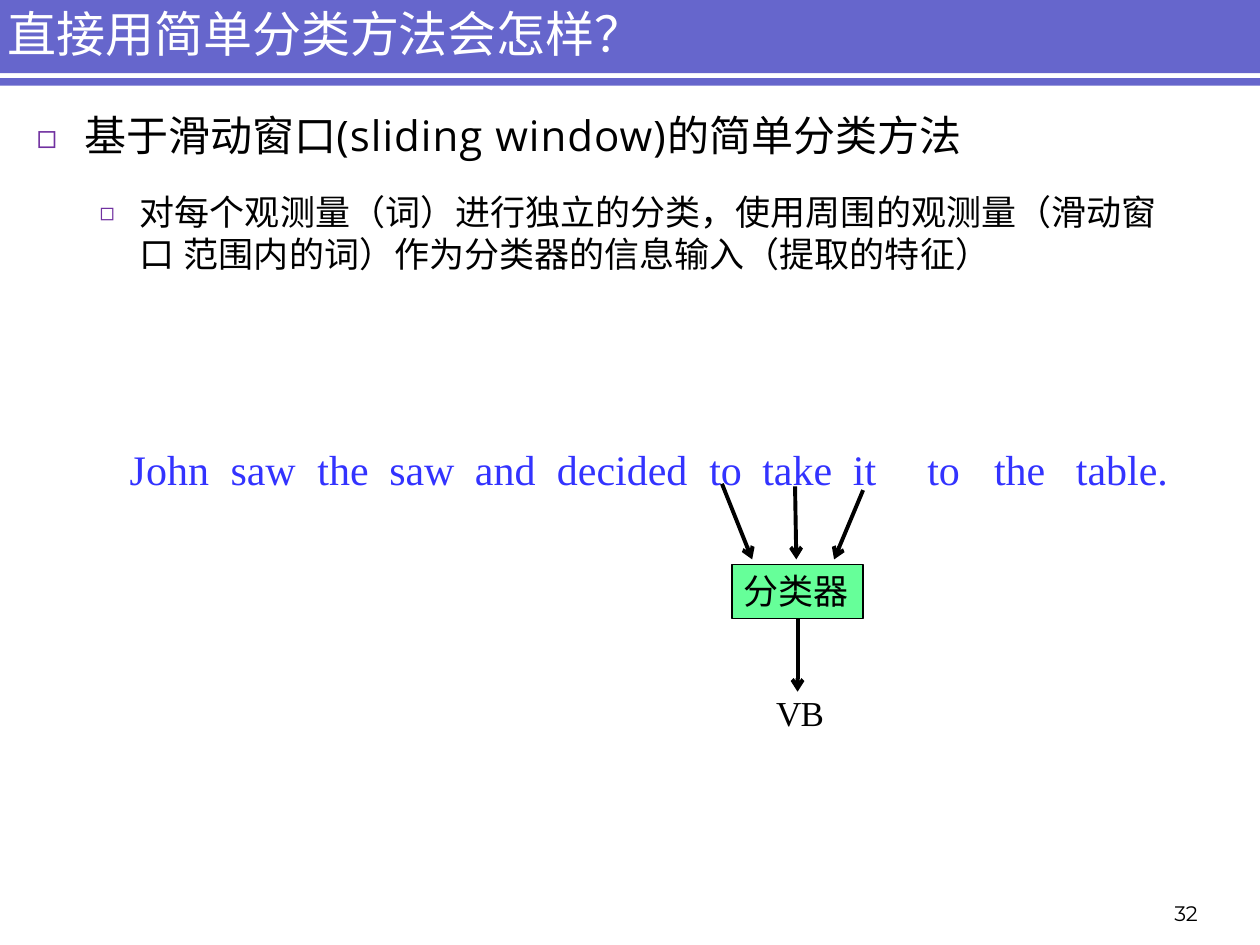
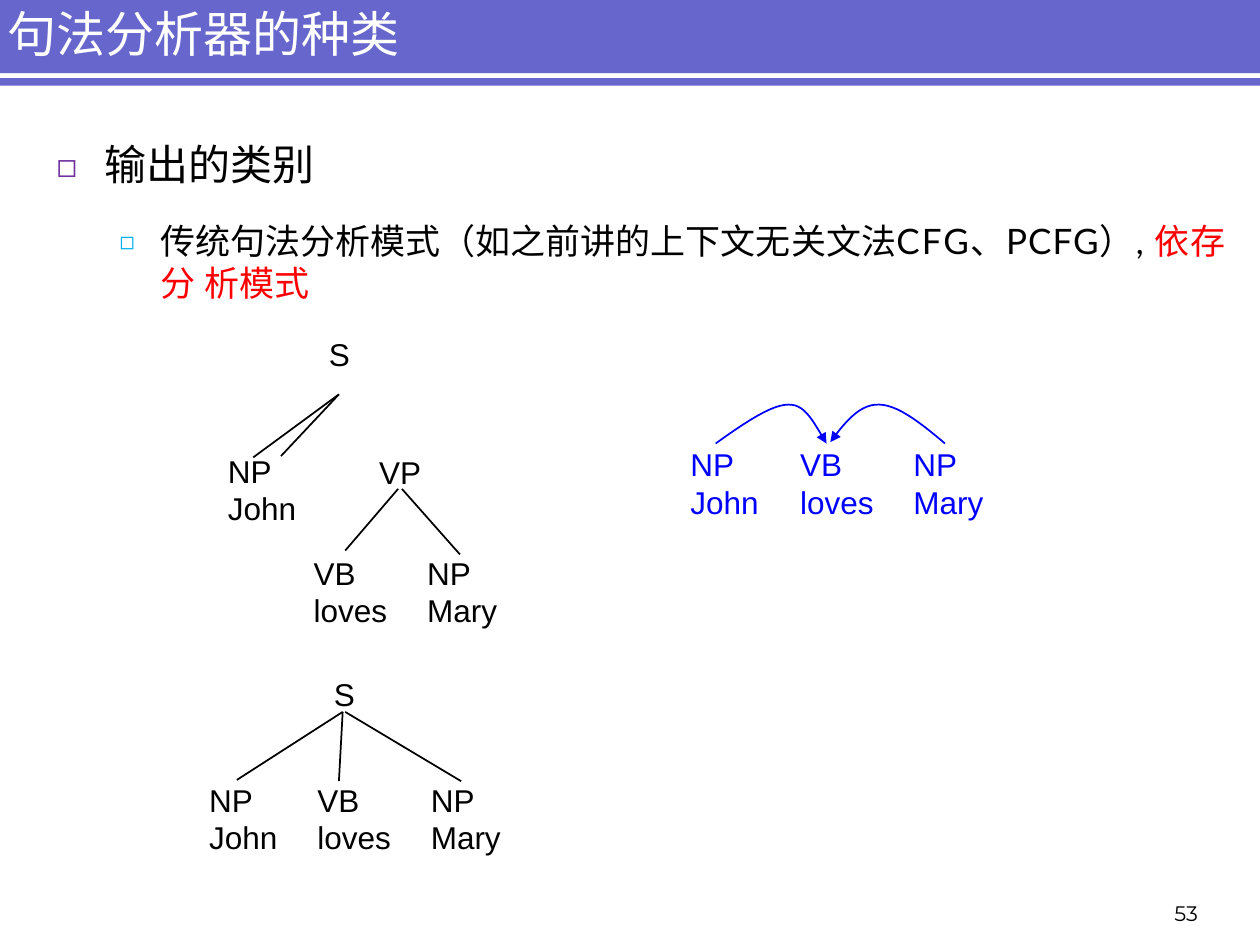
from lxml import etree
from pptx import Presentation
from pptx.dml.color import RGBColor
from pptx.enum.shapes import MSO_CONNECTOR, MSO_SHAPE
from pptx.enum.text import MSO_ANCHOR, MSO_AUTO_SIZE, PP_ALIGN
from pptx.oxml.ns import qn
from pptx.util import Emu, Inches, Pt

STRAIGHT = MSO_CONNECTOR.STRAIGHT
RECTANGLE = MSO_SHAPE.RECTANGLE
TOP = MSO_ANCHOR.TOP
NO_AUTOFIT = MSO_AUTO_SIZE.NONE
LEFT = PP_ALIGN.LEFT

PURPLE, VIOLET, CYAN = "6666CC", "7030A0", "00B0F0"
BLACK, WHITE, RED = "000000", "FFFFFF", "FF0000"
SENTENCE_BLUE, LINK_BLUE, GREEN = "3333FF", "0000FF", "66FF99"
CJK_FONT, LATIN_FONT = "Noto Sans CJK JP", "Lato"

TITLE = {"size": 28, "name": CJK_FONT, "color": WHITE}
HEADING = {"size": 24, "name": CJK_FONT, "color": BLACK}
DETAIL = {"size": 20, "name": CJK_FONT, "color": BLACK}
SENTENCE = {"size": 24, "name": "Times New Roman", "color": SENTENCE_BLUE}
TAG = {"size": 20, "name": "Times New Roman", "color": BLACK}
NODE = {"size": 18, "name": "Arial", "color": BLACK}
PAGE_NUMBER = {"size": 12, "name": "Montserrat", "color": BLACK}
NODE_SPACING = 21.3


def rgb(color):
    return RGBColor.from_string(color)


def set_values(target, **values):
    for name, value in values.items():
        setattr(target, name, value)


def add_xml(parent, tag, **attributes):
    return etree.SubElement(parent, qn(tag), attributes)


def place(shape, left, top, width, height):
    set_values(shape, left=Inches(left), top=Inches(top),
               width=Inches(width), height=Inches(height))


def prepare_frame(frame, left=0.0, top=0.01, wrap=True):
    set_values(frame, margin_left=Inches(left), margin_top=Inches(top),
               margin_right=0, margin_bottom=0, word_wrap=wrap,
               auto_size=NO_AUTOFIT, vertical_anchor=TOP)


def add_span(para, text, style, **changes):
    """Add a run in a style; spacing is in points."""
    style = {**style, **changes}
    span = para.add_run()
    span.text = text
    set_values(span.font, size=Pt(style["size"]), name=style["name"])
    span.font.color.rgb = rgb(style["color"])
    properties = span.font._element
    add_xml(properties, "a:ea", typeface=LATIN_FONT)
    if "spacing" in style:
        properties.set("spc", str(round(style["spacing"] * 100)))


def add_tabs(para, stops):
    tab_list = add_xml(para._p.get_or_add_pPr(), "a:tabLst")
    for stop in stops:
        add_xml(tab_list, "a:tab", pos=str(Inches(stop)), algn="l")


def add_text(page, left, top, width, lines, style, tabs=(), spacing=None, inset=0.01):
    """Write lines in a box; tabs are inches from the left edge of the text."""
    box = page.shapes.add_textbox(0, 0, 0, 0)
    place(box, left, top, width, 0.3 * len(lines) + 0.1)
    frame = box.text_frame
    prepare_frame(frame, top=inset, wrap=bool(tabs))
    for index, line in enumerate(lines):
        para = frame.add_paragraph() if index else frame.paragraphs[0]
        if spacing:
            para.line_spacing = Pt(spacing)
        if tabs:
            add_tabs(para, tabs)
        add_span(para, line, style)


def add_nodes(page, left, top, lines, tabs=(), color=BLACK):
    """Write tree labels, the columns being parted by tabs."""
    add_text(page, left, top, 2.4 if tabs else 0.6, lines,
             {**NODE, "color": color}, tabs, NODE_SPACING)


def add_bullet(para, level, color):
    indent, hanging, size = ((0.39, 0.38, 79), (0.83, 0.32, 70))[level]
    set_values(para, level=level, alignment=LEFT,
               line_spacing=Pt((28.8, 24)[level]),
               space_before=Pt((0, 17.2)[level]))
    properties = para._p.get_or_add_pPr()
    properties.set("marL", str(Inches(indent)))
    properties.set("indent", str(-Inches(hanging)))
    bullet_color = add_xml(properties, "a:buClr")
    add_xml(bullet_color, "a:srgbClr", val=color)
    add_xml(properties, "a:buSzPct", val=str(size * 1000))
    add_xml(properties, "a:buFont", typeface=CJK_FONT)
    add_xml(properties, "a:buChar", char="◻")


def add_body(page, left, top, width, bullets):
    """Fill the body with (level, bullet colour, spans), a span being (text, style, changes)."""
    body = page.placeholders[1]
    place(body, left, top, width, 1.4)
    frame = body.text_frame
    prepare_frame(frame)
    for index, (level, color, spans) in enumerate(bullets):
        para = frame.add_paragraph() if index else frame.paragraphs[0]
        add_bullet(para, level, color)
        for text, style, changes in spans:
            add_span(para, text, style, **changes)


def add_page(deck, title, number):
    """Add a page with the title band, the stripe below it and its number."""
    page = deck.slides.add_slide(deck.slide_layouts[1])
    heading = page.shapes.title
    place(heading, 0, 0, 10, 0.58)
    heading.fill.solid()
    heading.fill.fore_color.rgb = rgb(PURPLE)
    prepare_frame(heading.text_frame, left=0.06, top=0.03)
    para = heading.text_frame.paragraphs[0]
    para.alignment = LEFT
    add_span(para, title, TITLE)
    stripe = page.shapes.add_shape(RECTANGLE, 0, Inches(0.62), Inches(10), Inches(0.06))
    stripe.shadow.inherit = False
    stripe.fill.solid()
    stripe.fill.fore_color.rgb = rgb(PURPLE)
    stripe.line.fill.background()
    add_text(page, 9.32, 7.12, 0.3, [number], PAGE_NUMBER, inset=0.03)
    return page


def add_head(shape, kind):
    add_xml(shape.line._get_or_add_ln(), "a:tailEnd", type=kind)


def add_line(page, start, end, width=1.0, head=None):
    points = [Inches(value) for value in (*start, *end)]
    line = page.shapes.add_connector(STRAIGHT, *points)
    line.line.width = Pt(width)
    line.line.color.rgb = rgb(BLACK)
    if head:
        add_head(line, head)
    add_xml(line._element.spPr, "a:effectLst")
    return line


def add_arrow(page, start, end):
    return add_line(page, start, end, 2.25, "arrow")


def add_arc(page, controls, steps=24):
    """Draw a cubic Bezier curve that ends in an arrowhead."""
    points = []
    for step in range(steps + 1):
        t = step / steps
        weights = ((1 - t) ** 3, 3 * t * (1 - t) ** 2, 3 * t ** 2 * (1 - t), t ** 3)
        points.append(tuple(
            Inches(sum(w * point[axis] for w, point in zip(weights, controls)))
            for axis in (0, 1)))
    builder = page.shapes.build_freeform(*points[0], scale=1.0)
    builder.add_line_segments(points[1:], close=False)
    arc = builder.convert_to_shape(Emu(0), Emu(0))
    arc.shadow.inherit = False
    arc.fill.background()
    arc.line.width = Pt(1)
    arc.line.color.rgb = rgb(LINK_BLUE)
    add_head(arc, "triangle")


def add_classifier(page):
    box = page.shapes.add_shape(RECTANGLE, 0, 0, 0, 0)
    place(box, 5.81, 4.48, 1.04, 0.43)
    box.shadow.inherit = False
    box.fill.solid()
    box.fill.fore_color.rgb = rgb(GREEN)
    box.line.color.rgb = rgb(BLACK)
    box.line.width = Pt(1)
    prepare_frame(box.text_frame, left=0.09, top=0.04)
    para = box.text_frame.paragraphs[0]
    para.alignment = LEFT
    add_span(para, "分类器", DETAIL, name="Open Sans")
    return box


def build_window_page(deck):
    page = add_page(deck, "直接用简单分类方法会怎样？", "32")
    add_body(page, 0.28, 0.86, 9.18, [
        (0, VIOLET, [
            ("基于滑动窗口", HEADING, {}),
            ("(sliding window)", HEADING, {"name": "Open Sans", "spacing": 0.6}),
            ("的简单分类方法", HEADING, {})]),
        (1, VIOLET, [
            ("对每个观测量（词）进行独立的分类，使用周围的观测量（滑动窗口 范围内的词）"
             "作为分类器的信息输入（提取的特征）", DETAIL, {"name": LATIN_FONT})]),
    ])
    add_text(page, 1.03, 3.51, 6.1,
             ["John\tsaw\tthe\tsaw\tand\tdecided\tto\ttake\tit"], SENTENCE,
             (0.8, 1.49, 2.06, 2.74, 3.39, 4.6, 5.02, 5.74))
    add_text(page, 7.36, 3.51, 2.1, ["to\tthe\ttable."], SENTENCE, (0.53, 1.18))
    classifier = add_classifier(page)
    for start, end in (((5.73, 3.84), (5.97, 4.44)),
                       ((6.31, 3.86), (6.32, 4.44)),
                       ((6.85, 3.89), (6.62, 4.44))):
        add_arrow(page, start, end)
    add_arrow(page, (6.33, 4.91), (6.33, 5.49)).begin_connect(classifier, 2)
    add_text(page, 6.16, 5.48, 0.5, ["VB"], {**TAG, "spacing": -0.5})


def build_parser_page(deck):
    page = add_page(deck, "句法分析器的种类", "53")
    latin = {"name": LATIN_FONT, "spacing": 0.6}
    add_body(page, 0.44, 1.09, 9.47, [
        (0, VIOLET, [("输出的类别", HEADING, {})]),
        (1, CYAN, [
            ("传统句法分析模式（如之前讲的上下文无关文法", DETAIL, {}),
            ("CFG", DETAIL, {**latin, "spacing": 1.1}),
            ("、", DETAIL, {}),
            ("PCFG", DETAIL, latin),
            ("）", DETAIL, {"spacing": 0.6}),
            (", ", DETAIL, latin),
            ("依存分 析模式", DETAIL, {"color": RED})]),
    ])
    phrase_tree = (
        (2.61, 2.65, ["S"], ()),
        (1.81, 3.58, ["NP", "John"], ()),
        (3.01, 3.59, ["VP"], ()),
        (2.49, 4.39, ["VB\tNP", "loves\tMary"], (0.9,)),
    )
    flat_tree = (
        (2.65, 5.35, ["S"], ()),
        (1.66, 6.19, ["NP\tVB\tNP", "John\tloves\tMary"], (0.86, 1.76)),
    )
    for left, top, lines, tabs in phrase_tree + flat_tree:
        add_nodes(page, left, top, lines, tabs)
    branches = (
        ((2.69, 3.13), (2.01, 3.63)), ((2.69, 3.13), (2.23, 3.62)),
        ((3.16, 3.88), (2.74, 4.37)), ((3.19, 3.88), (3.65, 4.4)),
        ((2.72, 5.65), (1.88, 6.19)), ((2.72, 5.65), (2.69, 6.2)),
        ((2.74, 5.65), (3.66, 6.2)),
    )
    for parent, child in branches:
        add_line(page, parent, child)
    add_nodes(page, 5.48, 3.53, ["NP\tVB\tNP", "John\tloves\tMary"], (0.87, 1.77), LINK_BLUE)
    add_arc(page, ((5.68, 3.52), (6.33, 3.05), (6.35, 3.17), (6.56, 3.52)))
    add_arc(page, ((7.5, 3.52), (7.03, 3.12), (6.88, 3.1), (6.59, 3.51)))


def main():
    deck = Presentation()
    set_values(deck, slide_width=Inches(10), slide_height=Inches(7.5))
    build_window_page(deck)
    build_parser_page(deck)
    deck.save("out.pptx")


if __name__ == "__main__":
    main()
